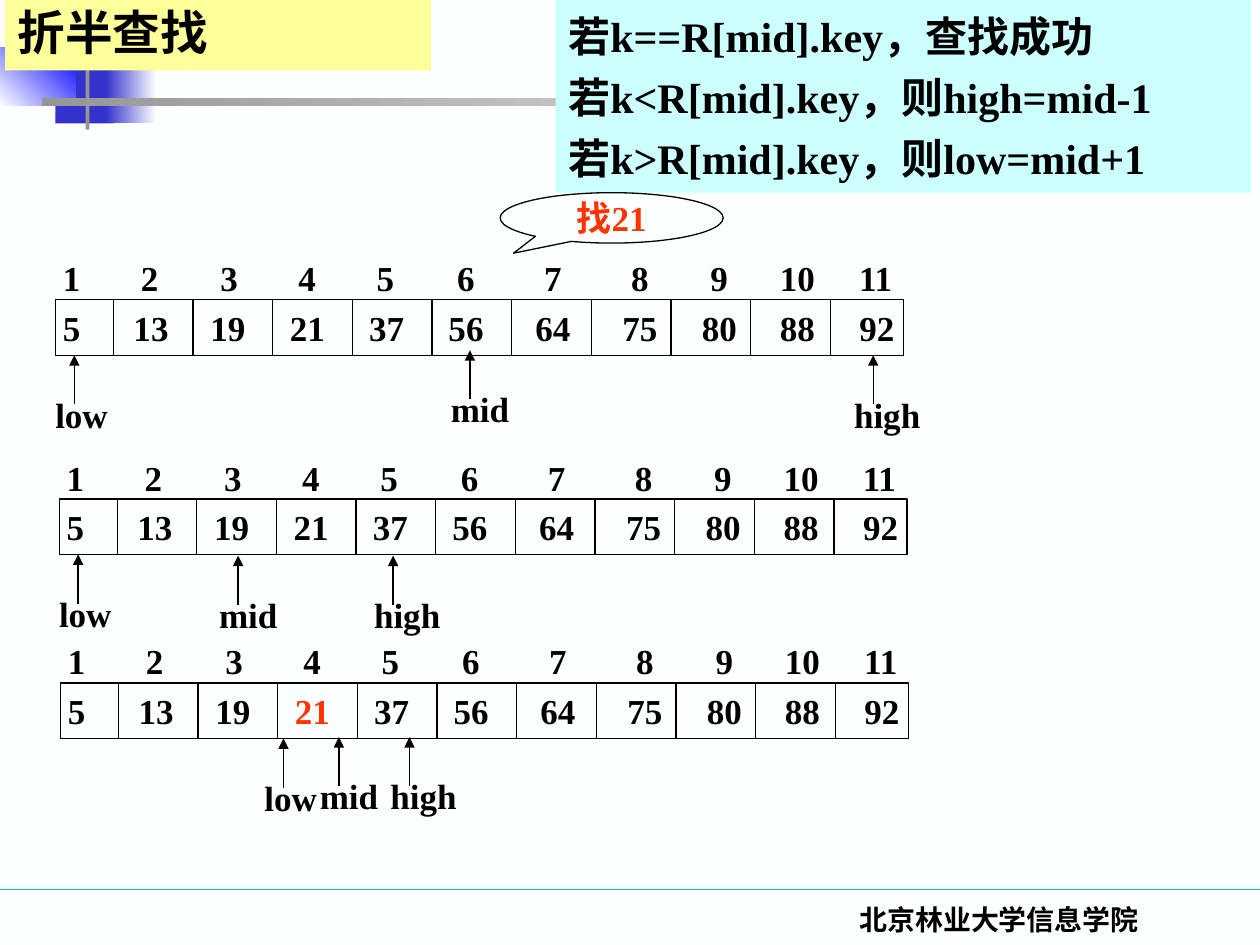
from lxml.etree import SubElement
from pptx import Presentation
from pptx.dml.color import RGBColor
from pptx.enum.shapes import MSO_CONNECTOR, MSO_SHAPE
from pptx.enum.text import MSO_ANCHOR, MSO_AUTO_SIZE, PP_ALIGN
from pptx.oxml.ns import qn
from pptx.util import Inches, Pt


def color(value):
    return RGBColor.from_string(value)


def style_text(frame, size, align=PP_ALIGN.LEFT, fill="000000", font="Times New Roman"):
    frame.auto_size = MSO_AUTO_SIZE.NONE
    for para in frame.paragraphs:
        para.alignment = align
        for span in para.runs:
            span.font.size = Pt(size)
            span.font.bold = True
            span.font.name = font
            span.font.color.rgb = color(fill)
            east_asian = SubElement(span.font._element, qn("a:ea"))
            east_asian.set("typeface", "Noto Sans CJK SC")


deck = Presentation()
deck.slide_width, deck.slide_height = Inches(10), Inches(7.5)
page = deck.slides.add_slide(deck.slide_layouts[1])
page.background.fill.solid()
page.background.fill.fore_color.rgb = color("FEFFFF")

decorations = [
    (0.31, 0, 0.48, 0.52, ["003366"], 0),
    (0.72, 0, 0.36, 0.52, ["003366", "FEFFFF"], 0),
    (0.44, 0.46, 0.46, 0.52, ["3333CC"], 0),
    (0.84, 0.46, 0.4, 0.52, ["3333CC", "FEFFFF"], 0),
    (0, 0.38, 0.6, 0.46, ["FEFFFF", "0000FF"], 45),
    (0.68, 0, 0.03, 1.03, ["969696"], 0),
    (0.33, 0.78, 9.51, 0.06, ["969696", "FEFFFF"], 0),
]
for left, top, width, height, colors, angle in decorations:
    block = page.shapes.add_shape(
        MSO_SHAPE.RECTANGLE, Inches(left), Inches(top), Inches(width), Inches(height))
    block.shadow.inherit = False
    block.line.fill.background()
    if len(colors) == 1:
        block.fill.solid()
        block.fill.fore_color.rgb = color(colors[0])
    else:
        block.fill.gradient()
        block.fill.gradient_angle = angle
        for stop, value in zip(block.fill.gradient_stops, colors):
            stop.color.rgb = color(value)

title, rules = page.shapes.title, page.placeholders[1]
title.text_frame.text = "折半查找"
rules.text_frame.text = (
    "若k==R[mid].key，查找成功\n"
    "若k<R[mid].key，则high=mid-1\n"
    "若k>R[mid].key，则low=mid+1")
panels = [
    (title, 0.04, 3.38, 0.56, "FFFF99", 27.2, "Noto Sans CJK SC"),
    (rules, 4.41, 5.52, 1.53, "CCFFFF", 24, "Times New Roman"),
]
for panel, left, width, height, fill, size, font in panels:
    panel.left, panel.top = Inches(left), Inches(0)
    panel.width, panel.height = Inches(width), Inches(height)
    panel.fill.solid()
    panel.fill.fore_color.rgb = color(fill)
    panel.text_frame.vertical_anchor = MSO_ANCHOR.MIDDLE
    style_text(panel.text_frame, size, font=font)
    panel.element.getparent().append(panel.element)
title.text_frame.paragraphs[0].line_spacing = 0.9
for para in rules.text_frame.paragraphs:
    para.space_before = Pt(6)
    properties = para._p.get_or_add_pPr()
    properties.set("marL", "0")
    properties.set("indent", "0")
    SubElement(properties, qn("a:buNone"))

callout = page.shapes.add_shape(
    MSO_SHAPE.OVAL_CALLOUT, Inches(3.97), Inches(1.53), Inches(1.77), Inches(0.4))
callout.adjustments[0], callout.adjustments[1] = -0.44, 0.7
callout.shadow.inherit = False
callout.fill.background()
callout.line.color.rgb = color("000000")
callout.line.width = Pt(0.75)
callout.text_frame.text = "找21"
callout.text_frame.word_wrap = False
callout.text_frame.vertical_anchor = MSO_ANCHOR.MIDDLE
style_text(callout.text_frame, 20, PP_ALIGN.CENTER, "FF3300")

indexes = "\t".join(str(number) for number in range(1, 12))
values = "\t".join("5 13 19 21 37 56 64 75 80 88 92".split())
index_tabs = [0.62, 1.25, 1.87, 2.49, 3.13, 3.82, 4.51, 5.14, 5.69, 6.32]
value_tabs = [0.56, 1.17, 1.8, 2.43, 3.06, 3.75, 4.44, 5.07, 5.69, 6.32]
label_widths = {"low": 0.61, "mid": 0.66, "high": 0.72}
steps = [
    (0.44, 2.38, [("low", 0.59, 2.82), ("high", 6.93, 2.82), ("mid", 3.73, 2.78)], False),
    (0.47, 3.96, [("low", 0.62, 4.4), ("high", 3.12, 4.41), ("mid", 1.89, 4.41)], False),
    (0.48, 5.42, [("low", 2.25, 5.86), ("high", 3.25, 5.85), ("mid", 2.69, 5.85)], True),
]
segments = [(0, 7.06, 10, 7.06, "00CC99", False)]
for left, top, pointers, found in steps:
    header = page.shapes.add_textbox(
        Inches(left - 0.04), Inches(top - 0.39), Inches(6.81), Inches(0.44))
    header.text_frame.text = indexes
    array = page.shapes.add_shape(
        MSO_SHAPE.RECTANGLE, Inches(left), Inches(top), Inches(6.73), Inches(0.44))
    array.shadow.inherit = False
    array.fill.background()
    array.line.color.rgb = color("000000")
    array.line.width = Pt(0.75)
    array.text_frame.margin_left = Inches(0.06)
    array.text_frame.vertical_anchor = MSO_ANCHOR.MIDDLE
    for part in values.partition("21") if found else [values]:
        array.text_frame.paragraphs[0].add_run().text = part
    for box, tabs in [(header, index_tabs), (array, value_tabs)]:
        box.text_frame.word_wrap = True
        box.text_frame.margin_right = 0
        style_text(box.text_frame, 20)
        tab_list = SubElement(
            box.text_frame.paragraphs[0]._p.get_or_add_pPr(), qn("a:tabLst"))
        for position in tabs:
            SubElement(tab_list, qn("a:tab"), pos=str(Inches(position)), algn="l")
    if found:
        array.text_frame.paragraphs[0].runs[1].font.color.rgb = color("FF3300")

    for divider in range(10):
        x = left + 0.46 + divider * 5.69 / 9
        segments.append((x, top, x, top + 0.44, "000000", False))
    for name, x, tip in pointers:
        segments.append((x, tip + 0.39, x, tip, "000000", True))
        label = page.shapes.add_textbox(
            Inches(x - 0.25), Inches(tip + 0.25), Inches(label_widths[name]), Inches(0.44))
        label.text_frame.text = name
        label.text_frame.word_wrap = False
        style_text(label.text_frame, 20)

for x1, y1, x2, y2, stroke, arrow in segments:
    line = page.shapes.add_connector(
        MSO_CONNECTOR.STRAIGHT, Inches(x1), Inches(y1), Inches(x2), Inches(y2))
    line.line.color.rgb = color(stroke)
    line.line.width = Pt(0.75)
    if arrow:
        SubElement(line.line._get_or_add_ln(), qn("a:tailEnd"), type="triangle")
    SubElement(line._element.spPr, qn("a:effectLst"))

footer = page.shapes.add_textbox(Inches(5.86), Inches(7.11), Inches(4.14), Inches(0.39))
footer.text_frame.text = "北京林业大学信息学院"
footer.text_frame.word_wrap = True
style_text(footer.text_frame, 16, PP_ALIGN.CENTER)
footer.text_frame.paragraphs[0].space_before = Pt(10)

deck.save("out.pptx")
